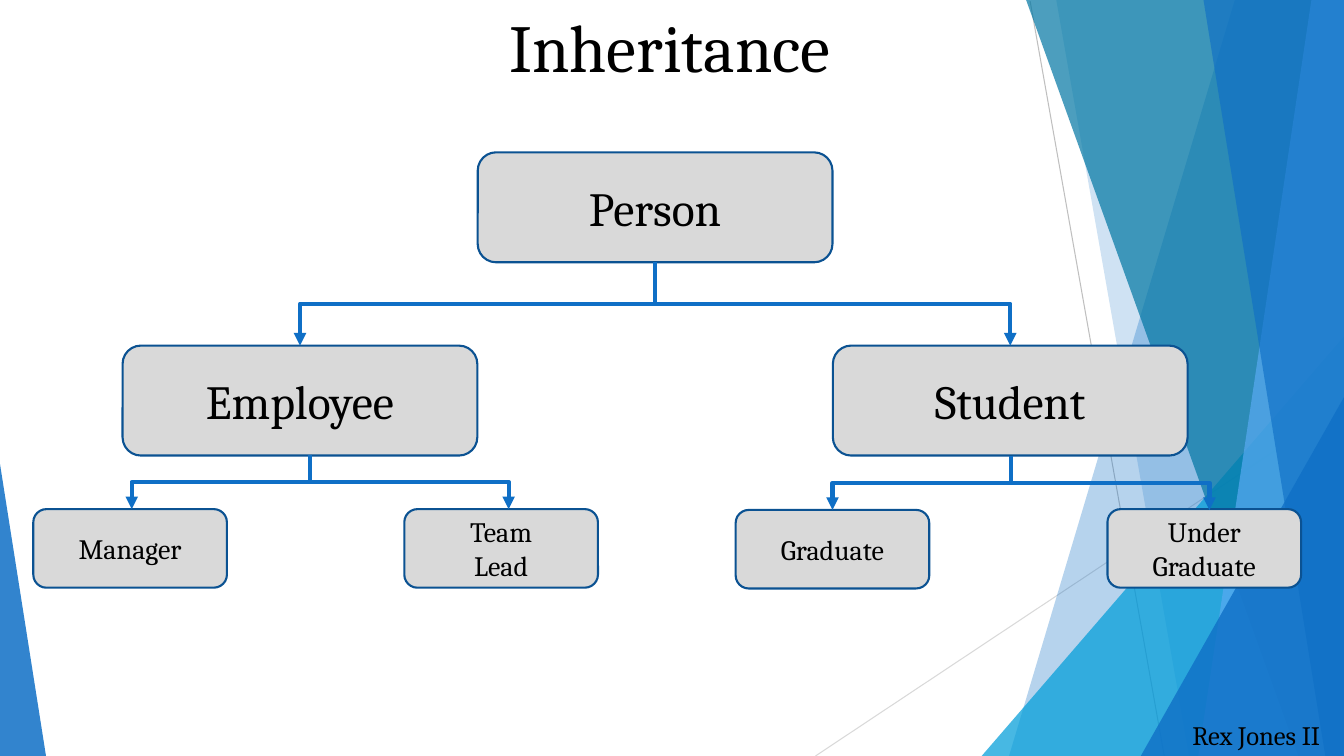
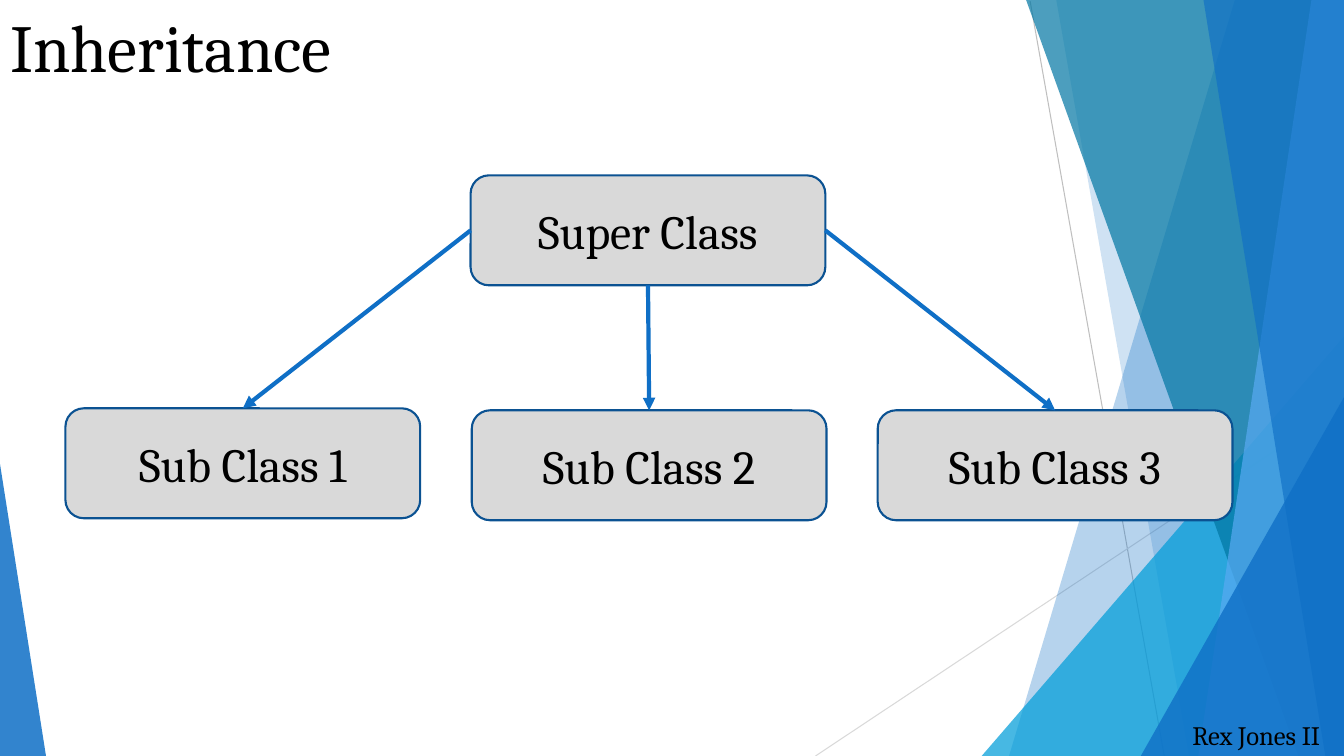
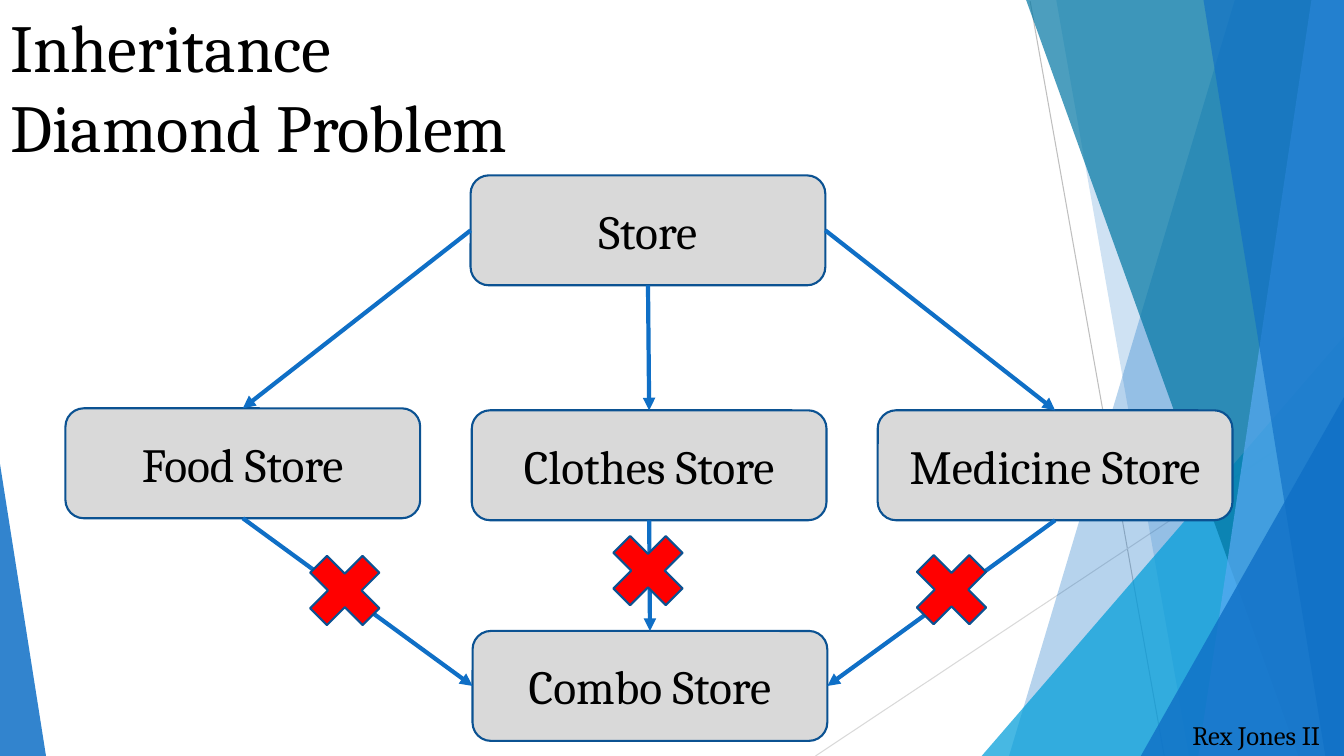
from dataclasses import dataclass

from pptx import Presentation
from pptx.dml.color import RGBColor
from pptx.enum.shapes import MSO_CONNECTOR as Link, MSO_SHAPE as Preset
from pptx.enum.text import MSO_ANCHOR as Anchor, MSO_AUTO_SIZE as AutoSize, PP_ALIGN as Align
from pptx.oxml.ns import qn
from pptx.oxml.xmlchemy import OxmlElement
from pptx.util import Cm, Pt


@dataclass(frozen=True)
class Theme:
    font: str = "Cambria"
    text: str = "000000"
    blue: str = "0F6FC6"
    cyan: str = "009DD9"
    teal: str = "0076A3"
    sky: str = "59AAF2"
    box: str = "D9D9D9"
    edge: str = "0B5292"
    cross: str = "FF0000"
    dark_hair: str = "BFBFBF"
    light_hair: str = "D9D9D9"
    title_size: int = 48
    large_size: int = 34
    small_size: int = 20
    footer_size: int = 19
    arrow_width: float = 3
    edge_width: float = 1.5
    hair_width: float = 0.75


THEME = Theme()
WIDTH, HEIGHT = 33.87, 19.05
LARGE, SMALL = (8.94, 2.77), (4.88, 1.98)
CROSS_SIZE = 2.54
TOP, LEFT, BOTTOM, RIGHT = range(4)

HAIRLINES = [
    ((25.96, 0.03), (29.34, HEIGHT), THEME.dark_hair),
    ((33.78, 10.26), (20.55, HEIGHT), THEME.light_hair),
]
BACK_WEDGES = [(31.12, 25.43, THEME.blue, 30), (26.62, 29.97, THEME.blue, 20)]
FRONT_WEDGES = [
    (25.86, 32.72, THEME.teal, 70),
    (33.05, 30.2, THEME.sky, 70),
    (30.33, 33.4, THEME.blue, 65),
]
CYAN_TRIANGLE = (24.74, 8.48, WIDTH, 1, THEME.cyan, 72)
CORNER_TRIANGLES = [
    (28.75, 10.01, WIDTH, 1, THEME.blue, 80),
    (-0.08, 11.18, 1.16, 0, THEME.blue, 85),
]
FOOTER = "Rex Jones II"

PERSON_CENTER, BRANCH = 16.51, 8.95
TREE_LARGE = [
    ("Person", PERSON_CENTER, 3.84),
    ("Employee", PERSON_CENTER - BRANCH, 8.71),
    ("Student", PERSON_CENTER + BRANCH, 8.71),
]
TREE_SMALL = [
    ("Manager", 3.28, 12.83),
    ("Team\vLead", 12.63, 12.83),
    ("Graduate", 20.98, 12.85),
    ("Under\vGraduate", 30.35, 12.83),
]
TREE_FORKS = [
    (PERSON_CENTER, 6.6, 8.71, (-BRANCH, BRANCH)),
    (7.82, 11.46, 12.83, (-4.5, 5)),
    (25.48, 11.48, 12.85, (-4.5, 5)),
]

FAN_PLACES = [(16.33, 4.42), (6.12, 10.29), (16.36, 10.34), (26.59, 10.34), (16.38, 15.9)]
FAN_LINKS = [(0, LEFT, 1, TOP), (0, RIGHT, 3, TOP), (0, BOTTOM, 2, TOP)]
MERGE_LINKS = [(1, BOTTOM, 4, LEFT), (2, BOTTOM, 4, TOP), (3, BOTTOM, 4, RIGHT)]
CLASSES = ["Super Class", "Sub Class 1", "Sub Class 2", "Sub Class 3"]
STORES = ["Store", "Food Store", "Clothes Store", "Medicine Store", "Combo Store"]
CROSSES = [(15.06, 13.11), (22.71, 13.59), (7.42, 13.61)]


def lengths(*values):
    return [Cm(value) for value in values]


def write(shape, text, size, align=Align.CENTER, anchor=Anchor.MIDDLE):
    frame = shape.text_frame
    frame.text = text
    frame.word_wrap = True
    frame.auto_size = AutoSize.NONE
    frame.vertical_anchor = anchor
    for para in frame.paragraphs:
        para.alignment = align
        for span in para.runs:
            span.font.name = THEME.font
            span.font.size = Pt(size)
            span.font.color.rgb = RGBColor.from_string(THEME.text)


def paint(shape, fill, alpha=100):
    shape.shadow.inherit = False
    shape.fill.solid()
    shape.fill.fore_color.rgb = RGBColor.from_string(fill)
    if alpha < 100:
        opacity = OxmlElement("a:alpha")
        opacity.set("val", str(alpha * 1000))
        shape.element.spPr.find(".//" + qn("a:srgbClr")).append(opacity)
        shape.line.fill.background()
    else:
        shape.line.color.rgb = RGBColor.from_string(THEME.edge)
        shape.line.width = Pt(THEME.edge_width)


def add_line(page, start, end, color=THEME.blue, width=THEME.arrow_width, kind=Link.STRAIGHT, arrow=True):
    line = page.shapes.add_connector(kind, *lengths(*start, *end))
    line.line.color.rgb = RGBColor.from_string(color)
    line.line.width = Pt(width)
    if arrow:
        head = OxmlElement("a:tailEnd")
        head.set("type", "triangle")
        line.element.spPr.find(qn("a:ln")).append(head)
    line.element.spPr.append(OxmlElement("a:effectLst"))
    return line


def add_elbow(page, x, top, bottom, reach):
    middle_x, middle_y = x + reach / 2, (top + bottom) / 2
    half_width, half_height = (bottom - top) / 2, abs(reach) / 2
    elbow = add_line(
        page,
        (middle_x - half_width, middle_y - half_height),
        (middle_x + half_width, middle_y + half_height),
        kind=Link.ELBOW,
    )
    frame = elbow.element.spPr.find(qn("a:xfrm"))
    frame.set("rot", str((270 if reach > 0 else 90) * 60000))
    if reach > 0:
        frame.set("flipH", "1")


def add_wedge(page, top_x, bottom_x, color, alpha):
    outline = page.shapes.build_freeform(Cm(top_x), 0)
    corners = [(WIDTH, 0), (WIDTH, HEIGHT), (bottom_x, HEIGHT)]
    outline.add_line_segments([lengths(*corner) for corner in corners], close=True)
    paint(outline.convert_to_shape(), color, alpha)


def add_triangle(page, left, top, right, apex, color, alpha):
    triangle = page.shapes.add_shape(
        Preset.ISOSCELES_TRIANGLE, *lengths(left, top, right - left, HEIGHT - top)
    )
    triangle.adjustments[0] = apex
    paint(triangle, color, alpha)


def decorate(layout, page):
    for start, end, color in HAIRLINES:
        add_line(page, start, end, color, THEME.hair_width, arrow=False)
    for wedge in BACK_WEDGES:
        add_wedge(page, *wedge)
    add_triangle(page, *CYAN_TRIANGLE)
    for wedge in FRONT_WEDGES:
        add_wedge(page, *wedge)
    for triangle in CORNER_TRIANGLES:
        add_triangle(page, *triangle)
    footer = page.shapes.add_textbox(*lengths(29.54, 17.98, 4.24, 1.07))
    write(footer, FOOTER, THEME.footer_size, anchor=Anchor.TOP)

    for holder in list(layout.placeholders)[1:]:
        holder.element.getparent().remove(holder.element)
    for shape in list(page.shapes):
        if not shape.is_placeholder:
            layout.shapes.element.append(shape.element)


def add_title(page, text, align=Align.LEFT):
    title = page.shapes.title
    title.left, title.top, title.width, title.height = lengths(0, 0, 33.76, 4.42)
    write(title, text, THEME.title_size, align, Anchor.TOP)


def add_box(page, text, center, top, size=LARGE, text_size=THEME.large_size):
    box = page.shapes.add_shape(
        Preset.ROUNDED_RECTANGLE, *lengths(center - size[0] / 2, top, *size)
    )
    paint(box, THEME.box)
    write(box, text, text_size)
    return box


def draw_tree(page):
    for label, center, top in TREE_LARGE:
        add_box(page, label, center, top)
    for label, center, top in TREE_SMALL:
        add_box(page, label, center, top, SMALL, THEME.small_size)
    for x, top, bottom, reaches in TREE_FORKS:
        for reach in reaches:
            add_elbow(page, x, top, bottom, reach)


def draw_fan(page, labels, links):
    boxes = [add_box(page, label, *place) for label, place in zip(labels, FAN_PLACES)]
    for source, source_side, target, target_side in links:
        arrow = add_line(page, (0, 0), (1, 1))
        arrow.begin_connect(boxes[source], source_side)
        arrow.end_connect(boxes[target], target_side)


def draw_crosses(page):
    for left, top in CROSSES:
        cross = page.shapes.add_shape(
            Preset.MATH_MULTIPLY, *lengths(left, top, CROSS_SIZE, CROSS_SIZE)
        )
        paint(cross, THEME.cross)


def main():
    deck = Presentation()
    deck.slide_width, deck.slide_height = lengths(WIDTH, HEIGHT)
    layout = deck.slide_layouts[5]
    tree, fan, diamond = [deck.slides.add_slide(layout) for _ in range(3)]
    decorate(layout, tree)

    add_title(tree, "Inheritance", Align.CENTER)
    draw_tree(tree)

    add_title(fan, "Inheritance")
    draw_fan(fan, CLASSES, FAN_LINKS)

    add_title(diamond, "Inheritance\vDiamond Problem")
    draw_fan(diamond, STORES, MERGE_LINKS + FAN_LINKS)
    draw_crosses(diamond)

    deck.save("out.pptx")


if __name__ == "__main__":
    main()
